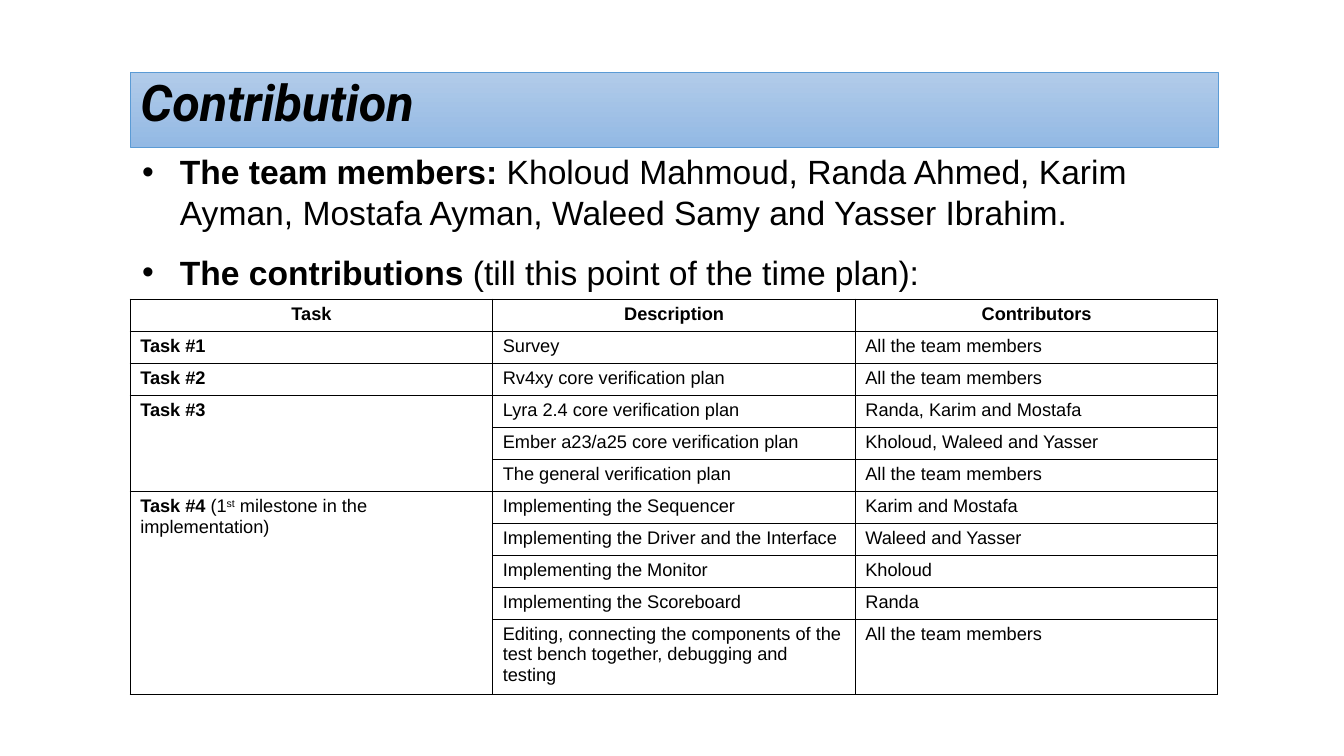
import dataclasses

import lxml.etree
import pptx
import pptx.dml.color
import pptx.enum.text
import pptx.oxml.ns
import pptx.util

Pt = pptx.util.Pt
RGB = pptx.dml.color.RGBColor.from_string
ALIGN = pptx.enum.text.PP_ALIGN

TITLE = "Contribution"
# Text spans are (text, style), where style is "bold", "plain" or "super".
BULLETS = [
    (1.0, [("The team members: ", "bold"),
           ("Kholoud Mahmoud, Randa Ahmed, Karim Ayman, Mostafa Ayman, "
            "Waleed Samy and Yasser Ibrahim.", "plain")]),
    (1.5, [("The contributions ", "bold"),
           ("(till this point of the time plan):", "plain")]),
]
HEADINGS = ["Task", "Description", "Contributors"]
EVERYONE = "All the team members"
TASKS = [
    ([("Task #1", "bold")], [("Survey", EVERYONE)]),
    ([("Task #2", "bold")], [("Rv4xy core verification plan", EVERYONE)]),
    ([("Task #3", "bold")], [
        ("Lyra 2.4 core verification plan", "Randa, Karim and Mostafa"),
        ("Ember a23/a25 core verification plan", "Kholoud, Waleed and Yasser"),
        ("The general verification plan", EVERYONE)]),
    ([("Task #4 ", "bold"), ("(1", "plain"), ("st", "super"),
      (" milestone in the implementation)", "plain")], [
        ("Implementing the Sequencer", "Karim and Mostafa"),
        ("Implementing the Driver and the Interface", "Waleed and Yasser"),
        ("Implementing the Monitor", "Kholoud"),
        ("Implementing the Scoreboard", "Randa"),
        ("Editing, connecting the components of the test bench together, "
         "debugging and testing", EVERYONE)]),
]


@dataclasses.dataclass(frozen=True)
class Theme:
    """Colours, fonts and type sizes of the slide."""
    ink: str = "000000"
    band_top: str = "B1CBE9"
    band_bottom: str = "93B9E4"
    band_line: str = "5B9BD5"
    title_font: str = "Roboto"
    body_font: str = "Arial"
    title_size: int = 36
    body_size: int = 24
    table_size: int = 13


THEME = Theme()
LEFT, WIDTH = 93, 777
TITLE_TOP, TITLE_HEIGHT = 52, 53
BODY_TOP, TABLE_TOP = 104.5, 213.8
ROW_HEIGHT, LAST_ROW_HEIGHT = 22.86, 53.6
BULLET_INDENT = 27


def place(shape, left, top, width, height):
    """Move and size a shape, in points."""
    shape.left, shape.top = Pt(left), Pt(top)
    shape.width, shape.height = Pt(width), Pt(height)


def style_font(font, name, size):
    """Set typeface, size and ink colour."""
    font.name, font.size = name, Pt(size)
    font.color.rgb = RGB(THEME.ink)


def write(para, spans, size):
    """Fill a paragraph with styled spans in the body font."""
    style_font(para.font, THEME.body_font, size)
    for text, style in spans:
        span = para.add_run()
        span.text = text
        span.font.bold = style == "bold"
        if style == "super":
            span.font._element.set("baseline", "30000")


def fill_title(box):
    """Write the title on its gradient band."""
    place(box, LEFT, TITLE_TOP, WIDTH, TITLE_HEIGHT)
    box.fill.gradient()
    box.fill.gradient_angle = 270
    for stop, colour in zip(box.fill.gradient_stops,
                            (THEME.band_top, THEME.band_bottom)):
        stop.color.rgb = RGB(colour)
    box.line.color.rgb = RGB(THEME.band_line)
    box.line.width = Pt(0.5)
    frame = box.text_frame
    frame.text = TITLE
    frame.auto_size = pptx.enum.text.MSO_AUTO_SIZE.NONE
    frame.vertical_anchor = pptx.enum.text.MSO_ANCHOR.TOP
    para = frame.paragraphs[0]
    para.alignment, para.line_spacing = ALIGN.LEFT, 0.9
    style_font(para.font, THEME.title_font, THEME.title_size)
    para.font.bold = para.font.italic = True


def fill_body(box):
    """Write the bulleted list above the table."""
    place(box, LEFT + 1.3, BODY_TOP, WIDTH + 13, TABLE_TOP - BODY_TOP)
    frame = box.text_frame
    frame.auto_size = pptx.enum.text.MSO_AUTO_SIZE.NONE
    for index, (spacing, spans) in enumerate(BULLETS):
        para = frame.add_paragraph() if index else frame.paragraphs[0]
        para.line_spacing, para.space_before = spacing, Pt(0)
        properties = para._p.get_or_add_pPr()
        properties.set("marL", str(Pt(BULLET_INDENT)))
        properties.set("indent", str(-Pt(BULLET_INDENT)))
        write(para, spans, THEME.body_size)


def outline(cell):
    """Give a cell a thin border on every side and no fill."""
    properties = cell._tc.get_or_add_tcPr()
    qn = pptx.oxml.ns.qn
    for side in ("a:lnL", "a:lnR", "a:lnT", "a:lnB"):
        line = lxml.etree.SubElement(properties, qn(side), w=str(Pt(1)))
        solid = lxml.etree.SubElement(line, qn("a:solidFill"))
        lxml.etree.SubElement(solid, qn("a:srgbClr"), val=THEME.ink)
    cell.fill.background()


def add_task_table(page):
    """Add the table, merging each task over its own rows."""
    row_count = 1 + sum(len(details) for _, details in TASKS)
    height = ROW_HEIGHT * (row_count - 1) + LAST_ROW_HEIGHT
    table = page.shapes.add_table(row_count, len(HEADINGS), Pt(LEFT),
                                  Pt(TABLE_TOP), Pt(WIDTH), Pt(height)).table
    table.first_row = table.horz_banding = False
    for row in table.rows:
        row.height = Pt(ROW_HEIGHT)
    table.rows[row_count - 1].height = Pt(LAST_ROW_HEIGHT)
    for cell in table.iter_cells():
        outline(cell)

    def put(row, column, spans):
        """Write one cell and return its paragraph."""
        para = table.cell(row, column).text_frame.paragraphs[0]
        write(para, spans, THEME.table_size)
        return para

    for column, heading in enumerate(HEADINGS):
        put(0, column, [(heading, "bold")]).alignment = ALIGN.CENTER
    first = 1
    for task, details in TASKS:
        last = first + len(details) - 1
        if last > first:
            table.cell(first, 0).merge(table.cell(last, 0))
        put(first, 0, task)
        for row, texts in enumerate(details, first):
            for column, text in enumerate(texts, 1):
                put(row, column, [(text, "plain")])
        first = last + 1


deck = pptx.Presentation()
deck.slide_width, deck.slide_height = Pt(960), Pt(540)
page = deck.slides.add_slide(deck.slide_layouts[1])
fill_body(page.placeholders[1])
fill_title(page.shapes.title)
add_task_table(page)
deck.save("out.pptx")
